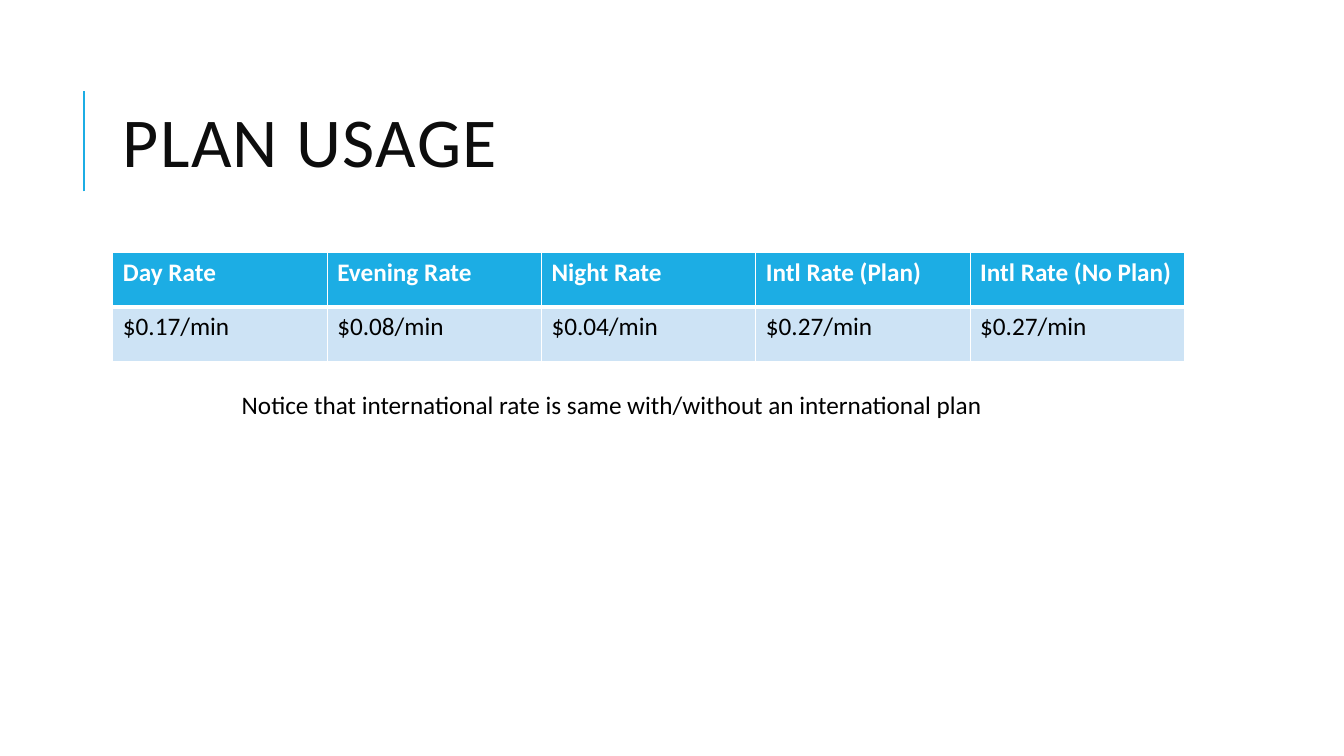
"""Build the plan usage slide: a title, a rate table and a remark."""
from dataclasses import dataclass

from lxml import etree
from pptx import Presentation, util as u
from pptx.dml.color import RGBColor
from pptx.enum import shapes, text
from pptx.oxml import ns

WIDTH, HEIGHT = u.Inches(13.33), u.Inches(7.5)
FONT = "Calibri"
ACCENT, BAND, WHITE, BLACK, INK = "1CADE4", "CDE3F5", "FFFFFF", "000000", "0D0D0D"
LEFT, CONTENT = 0.084, 0.7974
RATES = {
    "Day Rate": "$0.17/min",
    "Evening Rate": "$0.08/min",
    "Night Rate": "$0.04/min",
    "Intl Rate (Plan)": "$0.27/min",
    "Intl Rate (No Plan)": "$0.27/min",
}


@dataclass(frozen=True)
class Box:
    """A rectangle in shares of the slide's width and height."""
    left: float
    top: float
    width: float
    height: float

    def lengths(self) -> tuple[int, int, int, int]:
        """Return left, top, width and height in slide units."""
        return (int(self.left * WIDTH), int(self.top * HEIGHT),
                int(self.width * WIDTH), int(self.height * HEIGHT))


@dataclass(frozen=True)
class RowStyle:
    """The look of one table row."""
    fill: str
    color: str
    bold: bool
    top: float
    bottom: float


@dataclass(frozen=True)
class Caption:
    """A single paragraph of free text."""
    words: str
    box: Box
    size: float
    color: str
    anchor: text.MSO_ANCHOR
    line_spacing: float = 1.0
    tracking: float = 0


HEADER = RowStyle(ACCENT, WHITE, True, 1, 3)
BODY = RowStyle(BAND, BLACK, False, 3, 1)
CAPTIONS = (
    Caption("PLAN USAGE", Box(LEFT, 0.0853, CONTENT, 0.2187), 50, INK,
            text.MSO_ANCHOR.MIDDLE, 0.8, 1),
    Caption("Notice that international rate is same with/without an international plan",
            Box(0.1725, 0.508, 0.5656, 0.0533), 18, BLACK, text.MSO_ANCHOR.TOP),
)


def rgb(color: str) -> RGBColor:
    """Turn a hex string into a colour."""
    return RGBColor.from_string(color)


def style(paragraph, size: float, color: str, bold: bool = False) -> None:
    """Set the font of a paragraph."""
    font = paragraph.font
    font.name, font.size, font.bold = FONT, u.Pt(size), bold
    font.color.rgb = rgb(color)


def add_caption(slide, caption: Caption) -> None:
    """Add a text box holding one paragraph."""
    frame = slide.shapes.add_textbox(*caption.box.lengths()).text_frame
    frame.word_wrap = True
    frame.vertical_anchor = caption.anchor
    paragraph = frame.paragraphs[0]
    paragraph.line_spacing = caption.line_spacing
    run = paragraph.add_run()
    run.text = caption.words
    style(paragraph, caption.size, caption.color)
    if caption.tracking:
        run._r.get_or_add_rPr().set("spc", str(int(caption.tracking * 100)))


def add_accent_line(slide, x: float, top: float, bottom: float) -> None:
    """Add the vertical line beside the title."""
    line = slide.shapes.add_connector(
        shapes.MSO_CONNECTOR.STRAIGHT, int(x * WIDTH), int(bottom * HEIGHT),
        int(x * WIDTH), int(top * HEIGHT))
    line.line.color.rgb = rgb(ACCENT)
    line.line.width = u.Pt(1.5)
    etree.SubElement(line._element.spPr, ns.qn("a:effectLst"))


def set_borders(cell, row_style: RowStyle) -> None:
    """Draw white borders around a cell."""
    properties = cell._tc.get_or_add_tcPr()
    widths = {"lnL": 1, "lnR": 1, "lnT": row_style.top, "lnB": row_style.bottom}
    for side, width in widths.items():
        border = etree.SubElement(properties, ns.qn(f"a:{side}"), w=str(u.Pt(width)))
        fill = etree.SubElement(border, ns.qn("a:solidFill"))
        etree.SubElement(fill, ns.qn("a:srgbClr"), val=WHITE)


def add_rate_table(slide, box: Box) -> None:
    """Add the table of rates."""
    table = slide.shapes.add_table(2, len(RATES), *box.lengths()).table
    rows = ((HEADER, RATES.keys()), (BODY, RATES.values()))
    for row, (row_style, words) in zip(table.rows, rows):
        for cell, word in zip(row.cells, words):
            cell.text = word
            style(cell.text_frame.paragraphs[0], 18, row_style.color, row_style.bold)
            set_borders(cell, row_style)
            cell.fill.solid()
            cell.fill.fore_color.rgb = rgb(row_style.fill)


def main() -> None:
    """Build and save the presentation."""
    presentation = Presentation()
    presentation.slide_width, presentation.slide_height = WIDTH, HEIGHT
    slide = presentation.slides.add_slide(presentation.slide_layouts[6])
    add_accent_line(slide, 0.0625, 0.12, 0.2533)
    add_rate_table(slide, Box(LEFT, 0.3333, CONTENT, 0.1453))
    for caption in CAPTIONS:
        add_caption(slide, caption)
    presentation.save("out.pptx")


main()
